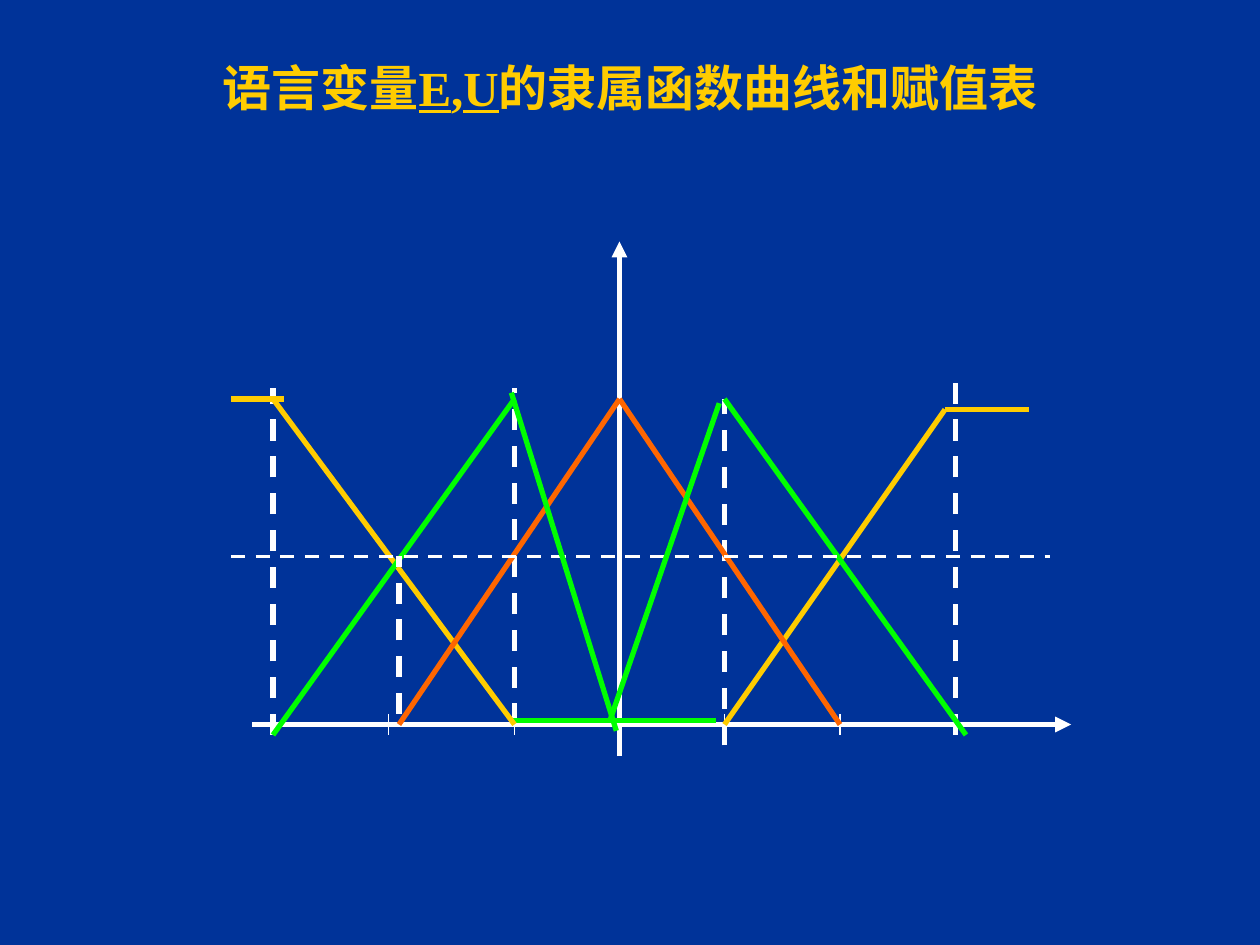
"""Build a slide of fuzzy membership functions on a 120 by 90 grid."""
import pptx
import pptx.util
import pptx.dml.color
import pptx.enum.dml
import pptx.enum.shapes
import pptx.enum.text
import pptx.oxml.ns
from lxml import etree

COLORS = {"back": "003399", "title": "FFCC00", "axis": "FFFFFF",
          "big": "FFCC00", "small": "00FF00", "zero": "FF6600"}
TITLE = [("语言变量", False), ("E", True), (",", False), ("U", True),
         ("的隶属函数曲线和赋值表", False)]
COLS, ROWS = 120, 90
BASE, HALF, PEAK = 69, 53, 38
TICKS = (69, 80, 91, 49, 37, 26)

AXES = [("axis", 3, "arrow", (24, BASE, 102, BASE)),
        ("axis", 3, "arrow", (59, 72, 59, 23))]
MARKS = [("axis", 0.75, "solid", (x, BASE - 1, x, BASE + 1)) for x in TICKS]
CURVES = [
    ("small", 3, "solid", (58.1, 68.6, 68.2, 68.6)),
    ("axis", 3, "dash", (69, 71, 69, PEAK)),
    ("axis", 3, "dash", (49, BASE, 49, 37)),
    ("small", 3, "solid", (58.7, 68.6, 48.7, 68.6)),
    ("axis", 3, "dash", (91, 70, 91, 36)),
    ("axis", 3, "dash", (26, 70, 26, 37)),
    ("big", 3, "solid", (90, 39, 69, BASE)),
    ("big", 3, "solid", (26, PEAK, 49, BASE)),
    ("zero", 3, "solid", (59, PEAK, 38, BASE)),
    ("zero", 3, "solid", (59, PEAK, 80, BASE)),
    ("small", 3, "solid", (49, PEAK, 26, 70)),
    ("small", 3, "solid", (69, PEAK, 92, 70)),
    ("axis", 2, "dash", (22, HALF, 100, HALF)),
    ("big", 3, "solid", (90, 39, 98, 39)),
    ("big", 3, "solid", (27, PEAK, 22, PEAK)),
    ("axis", 3, "dash", (38, 68, 38, HALF)),
    ("small", 3, "solid", (68.5, 38.4, 58.1, 68.6)),
    ("small", 3, "solid", (48.7, 37.4, 58.7, 69.6)),
]


def rgb(name):
    return pptx.dml.color.RGBColor.from_string(COLORS[name])


def add_title(s, prs):
    w, h = prs.slide_width, prs.slide_height
    sp = s.shapes.add_textbox(int(w * 0.075), int(h * 0.037), int(w * 0.85), int(h * 0.167))
    tf = sp.text_frame
    tf.word_wrap = True
    tf.vertical_anchor = pptx.enum.text.MSO_ANCHOR.MIDDLE
    tf.margin_bottom = pptx.util.Inches(0.48)
    p = tf.paragraphs[0]
    p.alignment = pptx.enum.text.PP_ALIGN.CENTER
    p.font.size = pptx.util.Pt(28)
    p.font.name = "Times New Roman"
    p.font.bold = True
    p.font.color.rgb = rgb("title")
    for text, underlined in TITLE:
        r = p.add_run()
        r.text = text
        if underlined:
            r.font.underline = True


def add_line(s, prs, color, width, style, ends):
    dx, dy = prs.slide_width / COLS, prs.slide_height / ROWS
    x1, y1, x2, y2 = ends
    sp = s.shapes.add_connector(pptx.enum.shapes.MSO_CONNECTOR.STRAIGHT,
                                round(x1 * dx), round(y1 * dy), round(x2 * dx), round(y2 * dy))
    sp.line.color.rgb = rgb(color)
    sp.line.width = pptx.util.Pt(width)
    if style == "dash":
        sp.line.dash_style = pptx.enum.dml.MSO_LINE.DASH
    if style == "arrow":
        tail = etree.SubElement(sp.line._get_or_add_ln(), pptx.oxml.ns.qn("a:tailEnd"))
        tail.set("type", "triangle")
    etree.SubElement(sp._element.spPr, pptx.oxml.ns.qn("a:effectLst"))


def main():
    prs = pptx.Presentation()
    prs.slide_width, prs.slide_height = pptx.util.Inches(10), pptx.util.Inches(7.5)
    s = prs.slides.add_slide(prs.slide_layouts[6])
    s.background.fill.solid()
    s.background.fill.fore_color.rgb = rgb("back")
    add_title(s, prs)
    for line in AXES + MARKS + CURVES:
        add_line(s, prs, *line)
    prs.save("out.pptx")


if __name__ == "__main__":
    main()
